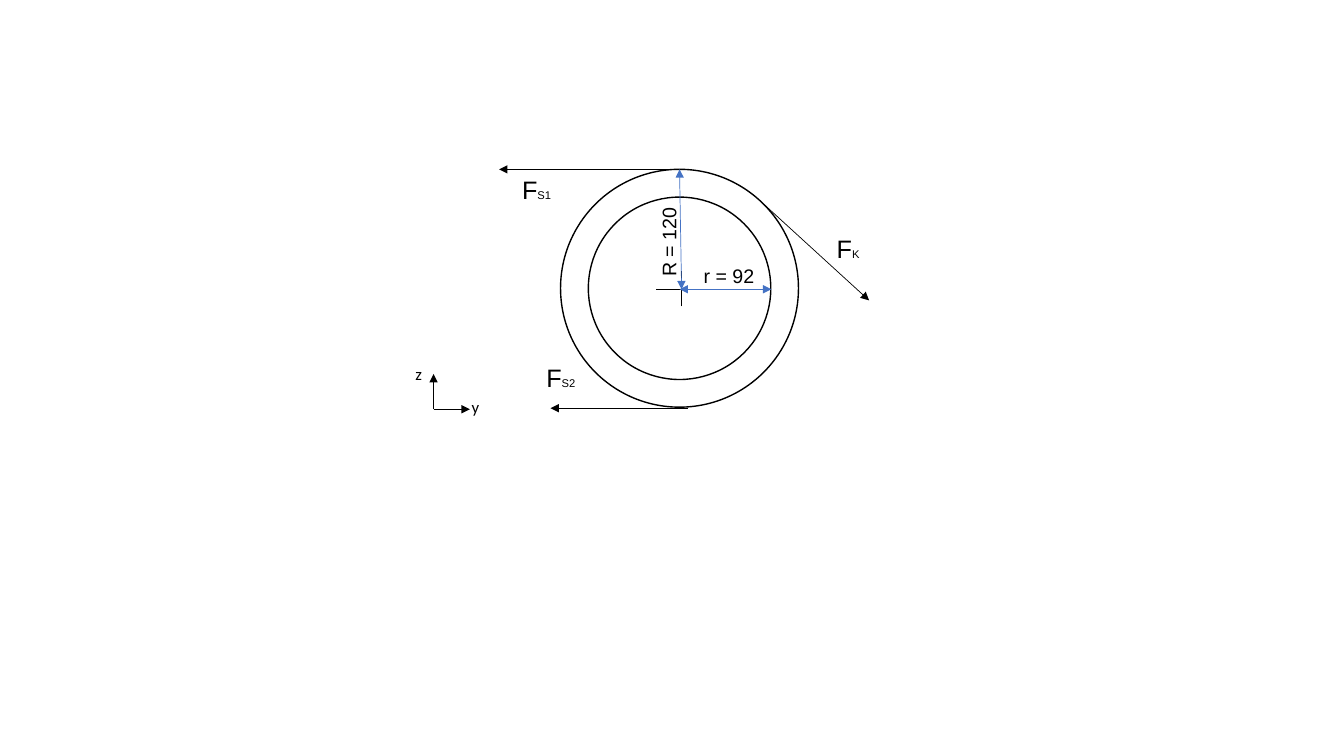
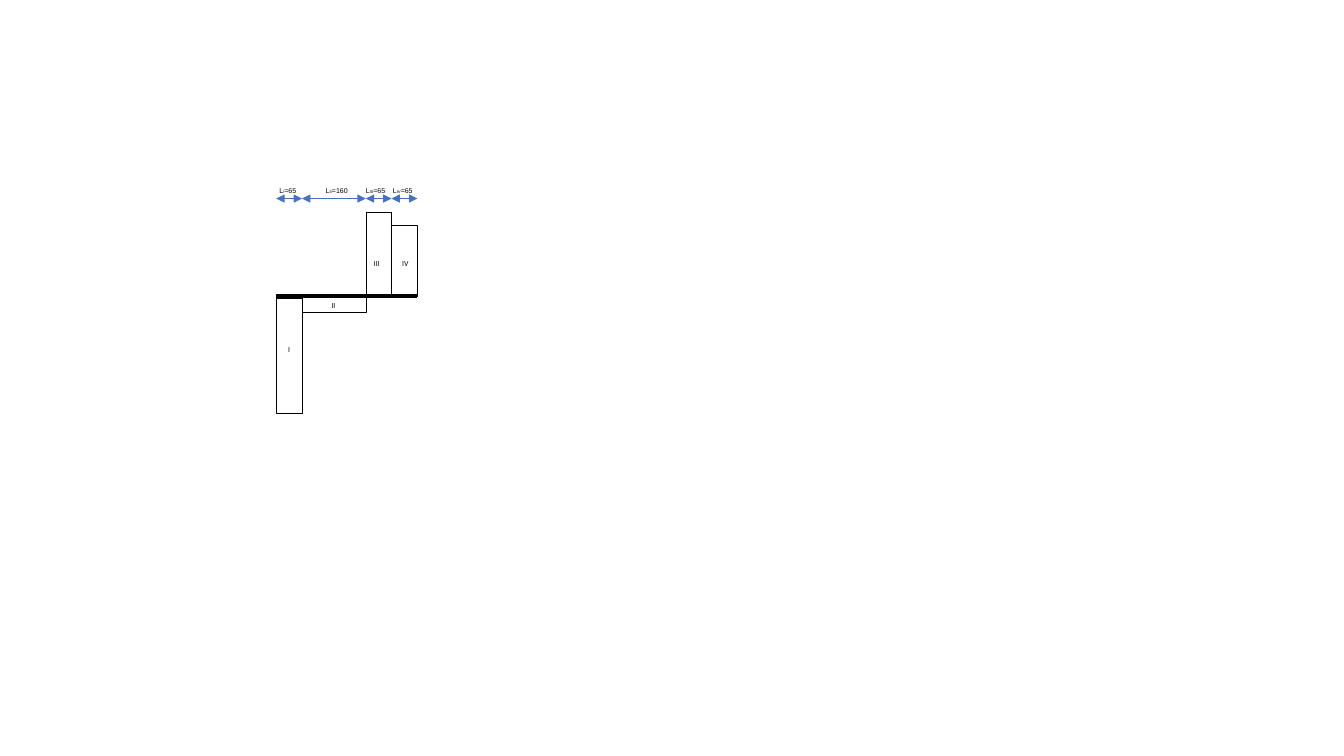
from dataclasses import dataclass
from itertools import accumulate

from lxml import etree
from pptx import Presentation
from pptx.dml.color import RGBColor
from pptx.enum import shapes, text
from pptx.oxml import ns
from pptx.util import Inches, Pt

COLORS = {"ink": "000000", "dimension": "4472C4", "paper": "FFFFFF"}
Point = tuple[float, float]


@dataclass
class Line:
    start: Point
    end: Point
    color: str = "ink"
    weight: float = 0.5
    heads: tuple[str, ...] = ("tailEnd",)


@dataclass
class Label:
    left: float
    top: float
    width: float
    height: float
    runs: list[tuple[str, float]]
    font: str = "Arial"
    centred: bool = False
    rotation: float = 0


@dataclass
class Section:
    name: str
    length: int
    top: float
    height: float
    name_at: Point
    name_width: float
    caption_left: float
    caption_width: float


def rgb(name: str) -> RGBColor:
    return RGBColor.from_string(COLORS[name])


def draw_line(canvas, line: Line) -> None:
    ends = [Inches(value) for value in (*line.start, *line.end)]
    connector = canvas.add_connector(shapes.MSO_CONNECTOR.STRAIGHT, *ends)
    connector.line.color.rgb = rgb(line.color)
    connector.line.width = Pt(line.weight)
    outline = connector.line._get_or_add_ln()
    for head in line.heads:
        etree.SubElement(outline, ns.qn(f"a:{head}"), type="triangle")
    etree.SubElement(connector._element.spPr, ns.qn("a:effectLst"))


def draw_outline(canvas, kind, at: tuple[float, ...], weight: float, fill: str = "") -> None:
    shape = canvas.add_shape(kind, *[Inches(value) for value in at])
    shape.shadow.inherit = False
    if fill:
        shape.fill.solid()
        shape.fill.fore_color.rgb = rgb(fill)
    else:
        shape.fill.background()
    shape.line.color.rgb = rgb("ink")
    shape.line.width = Pt(weight)


def draw_label(canvas, label: Label) -> None:
    at = (label.left, label.top, label.width, label.height)
    box = canvas.add_textbox(*[Inches(value) for value in at])
    box.rotation = label.rotation
    frame = box.text_frame
    frame.word_wrap = True
    frame.auto_size = text.MSO_AUTO_SIZE.SHAPE_TO_FIT_TEXT
    frame.margin_right = 0
    para = frame.paragraphs[0]
    if label.centred:
        frame.margin_left = 0
        para.alignment = text.PP_ALIGN.CENTER
    for words, size in label.runs:
        span = para.add_run()
        span.text = words
        span.font.size = Pt(size)
        span.font.name = label.font
        span.font.color.rgb = rgb("ink")


def draw_pulley(page) -> None:
    canvas = page.shapes
    x, y, outer, inner = 6.74, 2.86, 1.18, 0.905
    both = ("headEnd", "tailEnd")

    # Rim circles
    for radius in (outer, inner):
        at = (x - radius, y - radius, 2 * radius, 2 * radius)
        draw_outline(canvas, shapes.MSO_SHAPE.OVAL, at, 1)

    # Forces, centre mark and radii
    lines = [
        Line((x, 1.68), (4.95, 1.68)),
        Line((6.82, 4.05), (5.46, 4.05)),
        Line((7.58, 2.03), (8.62, 2.98)),
        Line((6.51, 2.87), (7, 2.87), heads=()),
        Line((6.76, 3.04), (6.76, 2.69), heads=()),
        Line((6.76, 2.87), (x, 1.68), "dimension", heads=both),
        Line((x, 2.87), (7.65, 2.87), "dimension", heads=both),
    ]
    for line in lines:
        draw_line(canvas, line)

    # Force and radius labels
    for index, left, top in (("S1", 5.08, 1.68), ("S2", 5.32, 3.55), ("K", 8.2, 2.27)):
        draw_label(canvas, Label(left, top, 0.7, 0.4, [("F", 18), (index, 8)]))
    draw_label(canvas, Label(6.88, 2.57, 0.7, 0.34, [("r = 92", 14)]))
    draw_label(canvas, Label(6.12, 2.16, 1.03, 0.34, [("R = 120", 14)], rotation=270))

    # Coordinate axes
    axes = canvas.add_group_shape().shapes
    origin = (4.3, 4.06)
    for name, tip, left, top in (("z", (4.3, 3.71), 4.02, 3.56), ("y", (4.66, 4.06), 4.58, 3.89)):
        draw_line(axes, Line(origin, tip))
        draw_label(axes, Label(left, top, 0.28, 0.3, [(name, 12)], "Calibri"))


def draw_sections(page) -> None:
    canvas = page.shapes
    left, total_width, baseline, dimension_y = 2.74, 1.4, 2.94, 1.97
    sections = [
        Section("I", 65, 2.96, 1.14, (2.76, 3.38), 0.28, 2.43, 0.85),
        Section("II", 160, 2.94, 0.16, (3.19, 2.94), 0.28, 2.82, 1.04),
        Section("III", 65, 2.11, 0.83, (3.61, 2.53), 0.28, 3.49, 0.47),
        Section("IV", 65, 2.23, 0.71, (3.89, 2.53), 0.32, 3.79, 0.41),
    ]
    scale = total_width / sum(section.length for section in sections)
    widths = [section.length * scale for section in sections]
    edges = list(accumulate(widths, initial=left))

    # Bars and baseline
    for section, edge, width in zip(sections, edges, widths):
        at = (edge, section.top, width, section.height)
        draw_outline(canvas, shapes.MSO_SHAPE.RECTANGLE, at, 0.25, "paper")
    draw_line(canvas, Line((left, baseline), (edges[-1], baseline), weight=3, heads=()))

    # Dimensions, captions and names
    for section, start, end in zip(sections, edges, edges[1:]):
        draw_line(canvas, Line((start, dimension_y), (end, dimension_y), "dimension",
                               heads=("headEnd", "tailEnd")))
        caption = [("L", 5), (section.name, 3), (f"={section.length}", 5)]
        draw_label(canvas, Label(section.caption_left, 1.8, section.caption_width, 0.19,
                                 caption, centred=True))
        draw_label(canvas, Label(*section.name_at, section.name_width, 0.19,
                                 [(section.name, 5)], "Roboto"))


deck = Presentation()
deck.slide_width, deck.slide_height = Inches(13.33), Inches(7.5)
blank = deck.slide_layouts[6]
for draw in (draw_pulley, draw_sections):
    draw(deck.slides.add_slide(blank))
deck.save("out.pptx")
